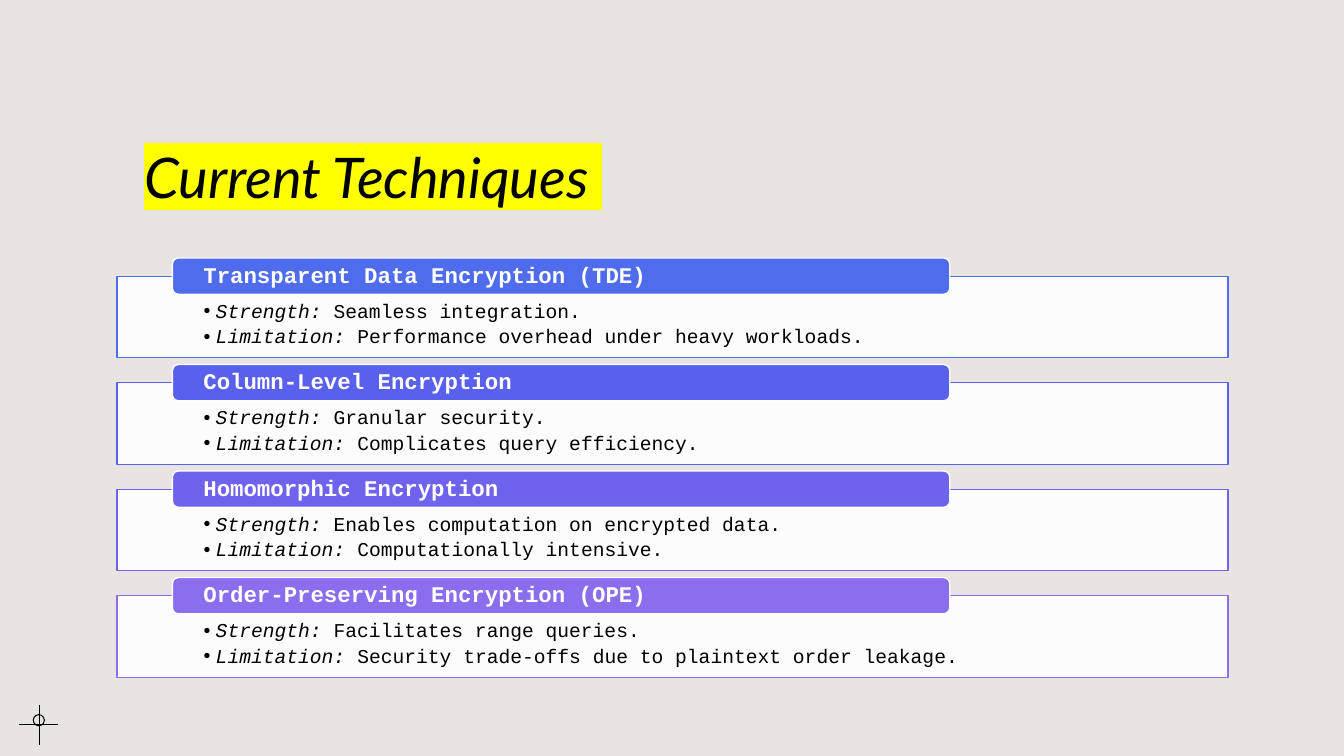
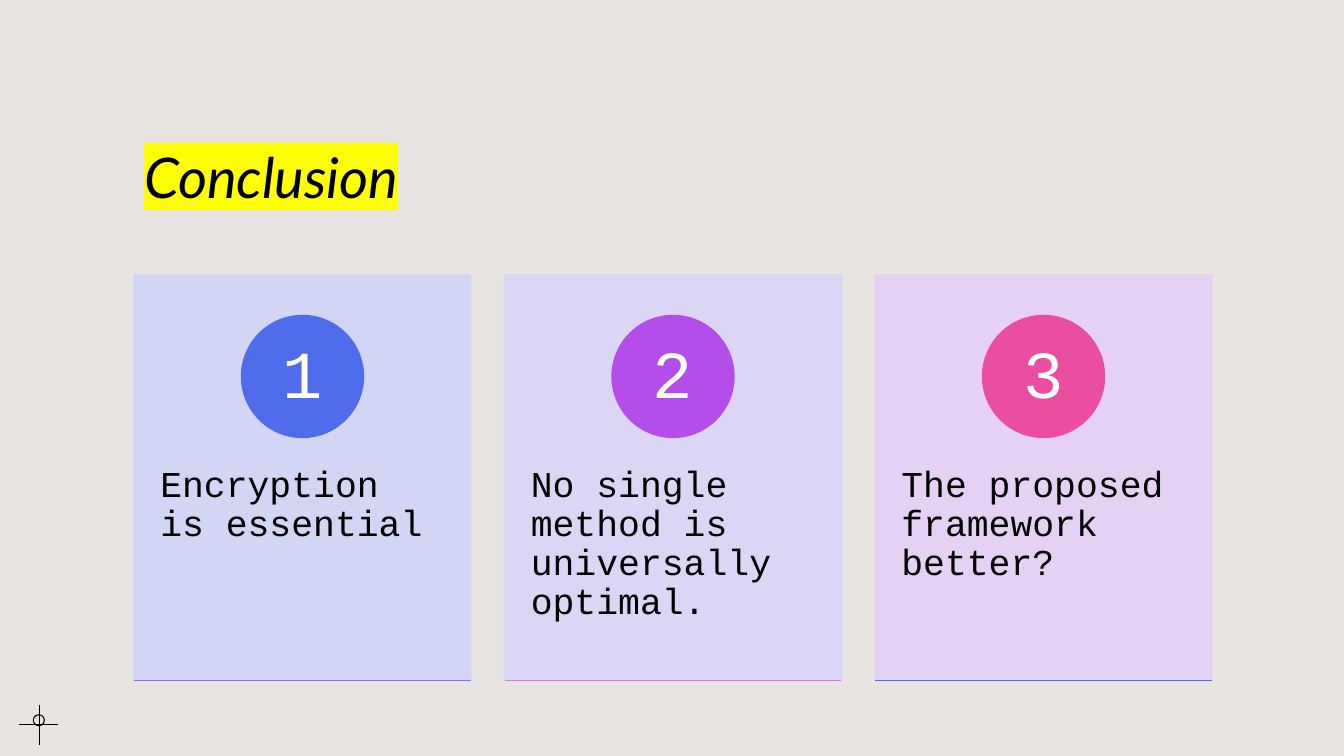
from lxml import etree
from pptx import Presentation
from pptx import util as u
from pptx.dml.color import RGBColor
from pptx.enum import shapes, text
from pptx.oxml.ns import qn

Inches, Pt = u.Inches, u.Pt
MONO, TITLE_FONT = "Courier New", "Lato"
INK, WHITE, PAPER, MARKER = "000000", "FFFFFF", "E8E4E2", "FFFF00"
RECT = shapes.MSO_SHAPE.RECTANGLE
ROUNDED = shapes.MSO_SHAPE.ROUNDED_RECTANGLE
OVAL = shapes.MSO_SHAPE.OVAL
TOP, MIDDLE = text.MSO_ANCHOR.TOP, text.MSO_ANCHOR.MIDDLE

TECHNIQUES = [
    ("Transparent Data Encryption (TDE)", "4E6CEB", "Seamless integration.",
     "Performance overhead under heavy workloads."),
    ("Column-Level Encryption", "5960EC", "Granular security.",
     "Complicates query efficiency."),
    ("Homomorphic Encryption", "6F63ED", "Enables computation on encrypted data.",
     "Computationally intensive."),
    ("Order-Preserving Encryption (OPE)", "8B6EEE", "Facilitates range queries.",
     "Security trade-offs due to plaintext order leakage."),
]
CONCLUSIONS = [
    ("Encryption is essential", "D0D4F7", "4E6CEB", "8B6EEE"),
    ("No single method is universally optimal.", "DAD5F8", "B34EEB", "EE6EE7"),
    ("The proposed framework better?", "E5D0F7", "EB4EA0", "4E6CEB"),
]


def rgb(value):
    return RGBColor.from_string(value)


def set_alpha(solid_fill, percent):
    alpha = etree.SubElement(solid_fill[0], qn("a:alpha"))
    alpha.set("val", str(percent * 1000))


def add_box(slide, kind, at, fill, line, width=1):
    box = slide.shapes.add_shape(kind, *map(Inches, at))
    box.shadow.inherit = False
    if fill:
        box.fill.solid()
        box.fill.fore_color.rgb = rgb(fill)
    else:
        box.fill.background()
    box.line.color.rgb = rgb(line)
    box.line.width = Pt(width)
    return box


def add_line(slide, start, end, color, width):
    line = slide.shapes.add_connector(
        shapes.MSO_CONNECTOR.STRAIGHT, *map(Inches, start + end))
    line.line.color.rgb = rgb(color)
    line.line.width = Pt(width)
    etree.SubElement(line.element.spPr, qn("a:effectLst"))


def set_frame(holder, anchor, insets):
    frame = holder.text_frame
    frame.word_wrap = True
    frame.vertical_anchor = anchor
    (frame.margin_left, frame.margin_top,
     frame.margin_right, frame.margin_bottom) = map(Inches, insets)
    return frame


def set_paragraph(paragraph, spacing=0.9, align=text.PP_ALIGN.LEFT):
    paragraph.line_spacing = spacing
    paragraph.alignment = align


def add_run(paragraph, words, size, color=INK, font=MONO, bold=False, italic=False):
    run = paragraph.add_run()
    run.text = words
    run.font.size = Pt(size)
    run.font.name = font
    run.font.bold = bold
    run.font.italic = italic
    run.font.color.rgb = rgb(color)
    return run


def add_bullet(paragraph):
    properties = paragraph._p.get_or_add_pPr()
    properties.set("marL", str(Inches(0.12)))
    properties.set("indent", str(Inches(-0.12)))
    etree.SubElement(properties, qn("a:buFont")).set("typeface", "Arial")
    etree.SubElement(properties, qn("a:buChar")).set("char", "•")


def add_title(slide, words):
    title = slide.shapes.add_textbox(*map(Inches, (1.33, 0.4, 10.38, 1.73)))
    frame = set_frame(title, text.MSO_ANCHOR.BOTTOM, (0.1, 0.05, 0.1, 0.05))
    paragraph = frame.paragraphs[0]
    set_paragraph(paragraph, spacing=1.2)
    run = add_run(paragraph, words, 40, font=TITLE_FONT, italic=True)
    highlight = etree.Element(qn("a:highlight"))
    etree.SubElement(highlight, qn("a:srgbClr")).set("val", MARKER)
    run.font._element.find(qn("a:latin")).addprevious(highlight)


def add_crosshair(slide):
    add_line(slide, (0.19, 7.19), (0.58, 7.19), INK, 0.75)
    add_line(slide, (0.39, 7.39), (0.39, 6.99), INK, 0.75)
    add_box(slide, OVAL, (0.33, 7.09, 0.11, 0.11), None, INK, 0.75)


def add_slide(prs, title):
    slide = prs.slides.add_slide(prs.slide_layouts[6])
    add_title(slide, title)
    add_crosshair(slide)
    return slide


def add_technique(slide, top, name, color, strength, limitation):
    panel = add_box(slide, RECT, (1.16, top, 11.02, 0.81), WHITE, color)
    set_alpha(panel.element.spPr.find(qn("a:solidFill")), 90)
    frame = set_frame(panel, TOP, (0.86, 0.25, 0.86, 0.11))
    points = [("Strength:", strength), ("Limitation:", limitation)]
    for index, (label, detail) in enumerate(points):
        paragraph = frame.add_paragraph() if index else frame.paragraphs[0]
        set_paragraph(paragraph)
        paragraph.space_after = Pt(3)
        add_bullet(paragraph)
        add_run(paragraph, label, 14, italic=True)
        add_run(paragraph, " " + detail, 14)

    heading = add_box(slide, ROUNDED, (1.71, top - 0.18, 7.71, 0.36), color, WHITE)
    paragraph = set_frame(heading, MIDDLE, (0.29, 0, 0.29, 0)).paragraphs[0]
    set_paragraph(paragraph)
    add_run(paragraph, name, 16, WHITE, bold=True)


def add_conclusion(slide, left, number, words, tint, accent, base):
    top, width, height, disc = 2.73, 3.34, 4.02, 1.21
    card = add_box(slide, RECT, (left, top, width, height), tint, tint)
    properties = card.element.spPr
    for fill in (properties.find(qn("a:solidFill")),
                 properties.find(qn("a:ln")).find(qn("a:solidFill"))):
        set_alpha(fill, 90)
    paragraph = set_frame(card, TOP, (0.26, 1.89, 0.26, 0.36)).paragraphs[0]
    set_paragraph(paragraph)
    add_run(paragraph, words, 26)

    badge = add_box(slide, OVAL, (left + (width - disc) / 2, top + 0.4, disc, disc),
                    accent, accent)
    paragraph = set_frame(badge, MIDDLE, (0.09, 0.01, 0.09, 0.01)).paragraphs[0]
    set_paragraph(paragraph, align=text.PP_ALIGN.CENTER)
    add_run(paragraph, str(number), 48, WHITE)

    bottom = top + height
    add_line(slide, (left, bottom), (left + width, bottom), base, 1)


def main():
    prs = Presentation()
    prs.slide_width, prs.slide_height = Inches(13.33), Inches(7.5)
    backdrop = prs.slide_master.background.fill
    backdrop.solid()
    backdrop.fore_color.rgb = rgb(PAPER)

    techniques = add_slide(prs, "Current Techniques ")
    first, last = 2.74, 5.91
    pitch = (last - first) / (len(TECHNIQUES) - 1)
    for row, technique in enumerate(TECHNIQUES):
        add_technique(techniques, first + row * pitch, *technique)

    conclusion = add_slide(prs, "Conclusion")
    first, last = 1.33, 8.68
    pitch = (last - first) / (len(CONCLUSIONS) - 1)
    for column, point in enumerate(CONCLUSIONS):
        add_conclusion(conclusion, first + column * pitch, column + 1, *point)

    prs.save("out.pptx")


if __name__ == "__main__":
    main()
